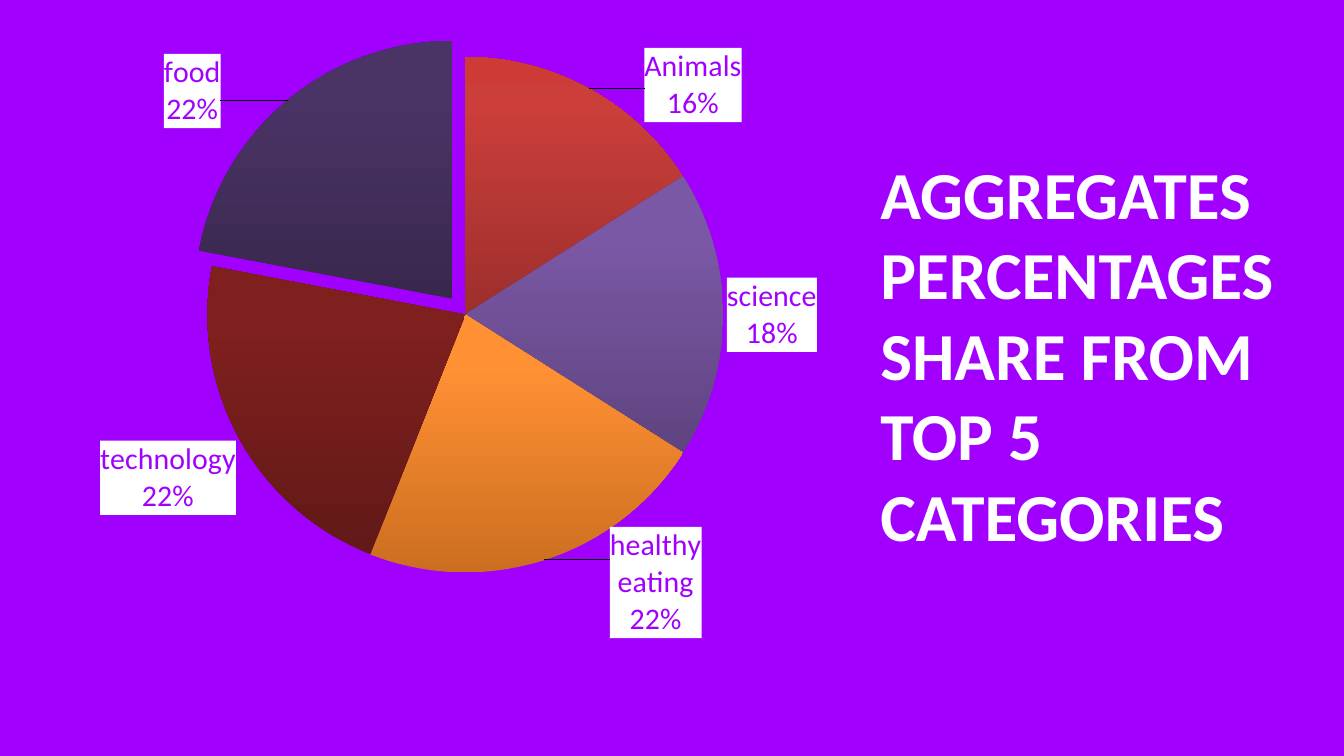
from copy import deepcopy

from pptx import Presentation
from pptx.chart.data import CategoryChartData
from pptx.dml.color import RGBColor
from pptx.enum.chart import XL_CHART_TYPE, XL_LABEL_POSITION
from pptx.enum.text import MSO_ANCHOR, PP_ALIGN
from pptx.oxml import parse_xml
from pptx.oxml.ns import nsdecls, qn
from pptx.util import Inches, Pt

PIE = XL_CHART_TYPE.PIE
OUTSIDE_END = XL_LABEL_POSITION.OUTSIDE_END
TOP = MSO_ANCHOR.TOP
LEFT = PP_ALIGN.LEFT

THEME = {
    "font": "Calibri",
    "purple": RGBColor.from_string("A100FF"),
    "white": RGBColor.from_string("FFFFFF"),
    "title_size": Pt(72),
    "label_size": Pt(32),
    "slices": [
        ("9C2F2D", "CB3E3A", "CE3B37"),
        ("5F4480", "7B58A6", "7C57A8"),
        ("CC6E20", "FF9034", "FF9136"),
        ("621917", "7F201E", "811F1C"),
        ("39284E", "4A3365", "4A3366"),
    ],
}
GRADIENT_POSITIONS = (0, 0.8, 1)
SHARES = {
    "Animals": 16,
    "science": 18,
    "healthy eating": 22,
    "technology": 22,
    "food": 22,
}
# Label shifts as fractions of the chart size, by slice number
LABEL_SHIFTS = {0: (0.064, 0.05), 2: (0.077, -0.05), 4: (-0.078, 0.042)}
FOOD = 4


def set_attributes(target, values):
    for name, value in values.items():
        setattr(target, name, value)


def manual_layout(values):
    tags = "".join(f'<c:{tag} val="{value}"/>' for tag, value in values.items())
    return parse_xml(
        f'<c:layout {nsdecls("c")}><c:manualLayout>{tags}</c:manualLayout></c:layout>'
    )


# Slide and background
presentation = Presentation()
set_attributes(presentation, {"slide_width": Inches(20), "slide_height": Inches(11.25)})
slide = presentation.slides.add_slide(presentation.slide_layouts[5])
slide.background.fill.solid()
slide.background.fill.fore_color.rgb = THEME["purple"]

# Pie chart
chart_data = CategoryChartData()
chart_data.categories = list(SHARES)
chart_data.add_series("Series 1", list(SHARES.values()))
chart = slide.shapes.add_chart(
    PIE, Inches(0.42), Inches(-0.03), Inches(12.33), Inches(10.96), chart_data
).chart
set_attributes(chart, {"has_legend": False, "has_title": False})
chart.font.name = THEME["font"]
plot_area = chart._chartSpace.chart.plotArea
for layout in plot_area.findall(qn("c:layout")):
    plot_area.remove(layout)
plot_area.insert(0, manual_layout({
    "layoutTarget": "inner", "xMode": "edge", "yMode": "edge",
    "x": 0.216, "y": 0.08, "w": 0.623, "h": 0.7,
}))

# Slices with vertical gradients
series = chart.plots[0].series[0]
for index, colors in enumerate(THEME["slices"]):
    fill = series.points[index].format.fill
    fill.gradient()
    fill.gradient_angle = 90
    stop_list = series._element.findall(".//" + qn("a:gsLst"))[index]
    stop_list.append(deepcopy(stop_list[0]))
    for stop, position, color in zip(fill.gradient_stops, GRADIENT_POSITIONS, colors):
        stop.position = position
        stop.color.rgb = RGBColor.from_string(color)

# Pull the food slice out
food_slice = series._element.findall(qn("c:dPt"))[FOOD]
food_slice.find(qn("c:spPr")).addprevious(
    parse_xml(f'<c:explosion {nsdecls("c")} val="8"/>')
)

# White labels with category and percentage
labels = series.data_labels
set_attributes(labels, {
    "show_category_name": True, "show_percentage": True, "show_value": False,
    "show_legend_key": False, "position": OUTSIDE_END,
    "number_format": "0%", "number_format_is_linked": False,
})
set_attributes(labels.font, {"name": THEME["font"], "size": THEME["label_size"], "bold": False})
labels.font.color.rgb = THEME["purple"]
labels_element = labels._element
text_format = labels_element.find(qn("c:txPr"))
label_fill = parse_xml(
    f'<c:spPr {nsdecls("c", "a")}><a:solidFill><a:srgbClr val="{THEME["white"]}"/>'
    "</a:solidFill></c:spPr>"
)
text_format.addprevious(label_fill)

# Move three labels away from their slices
for place, (index, (x, y)) in enumerate(LABEL_SHIFTS.items()):
    label = parse_xml(
        f'<c:dLbl {nsdecls("c")}><c:idx val="{index}"/><c:dLblPos val="outEnd"/>'
        '<c:showLegendKey val="0"/><c:showVal val="0"/><c:showCatName val="1"/>'
        '<c:showSerName val="0"/><c:showPercent val="1"/><c:showBubbleSize val="0"/></c:dLbl>'
    )
    number_format = labels_element.find(qn("c:numFmt"))
    parts = [manual_layout({"x": x, "y": y})]
    parts += [deepcopy(part) for part in (number_format, label_fill, text_format)]
    for part in parts:
        label.find(qn("c:dLblPos")).addprevious(part)
    labels_element.insert(place, label)

# Title
title = slide.shapes.title
set_attributes(title, {
    "left": Inches(13), "top": Inches(2.21),
    "width": Inches(6.17), "height": Inches(6.16),
})
title.text = "AGGREGATES PERCENTAGES SHARE FROM TOP 5 CATEGORIES"
set_attributes(title.text_frame, {"vertical_anchor": TOP, "word_wrap": True})
paragraph = title.text_frame.paragraphs[0]
paragraph.alignment = LEFT
set_attributes(paragraph.font, {"name": THEME["font"], "size": THEME["title_size"], "bold": True})
paragraph.font.color.rgb = THEME["white"]

presentation.save("out.pptx")
